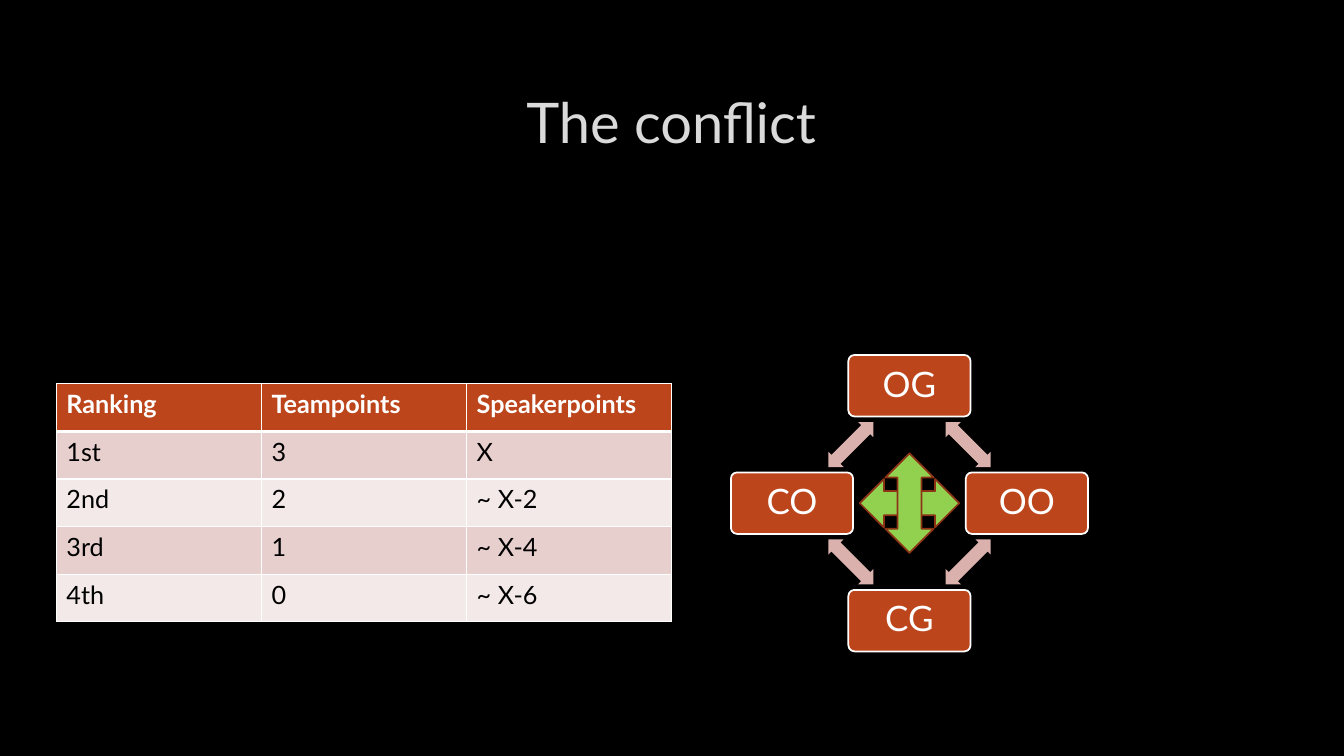
from dataclasses import dataclass
from math import cos, radians, sin

from lxml import etree
from pptx import Presentation
from pptx.dml import color
from pptx.enum import shapes, text
from pptx.oxml import ns
from pptx.util import Cm, Pt


@dataclass(frozen=True)
class Theme:
    """Colours, type sizes and font of the slide."""
    font: str = "Lato"
    background: str = "000000"
    title: str = "DADADA"
    title_outline: str = "404040"
    accent: str = "BC451B"
    accent_dark: str = "8B3314"
    light: str = "FFFFFF"
    dark: str = "000000"
    bands: tuple = ("E7CFCD", "F3E9E8")
    neighbour: str = "DAB1AC"
    clash: str = "92D050"
    title_size: float = 40
    table_size: float = 18
    team_size: float = 25


THEME = Theme()
SCORES = [
    ("Ranking", "Teampoints", "Speakerpoints"),
    ("1st", "3", "X"),
    ("2nd", "2", "~ X-2"),
    ("3rd", "1", "~ X-4"),
    ("4th", "0", "~ X-6"),
]
TEAMS = ("OG", "OO", "CG", "CO")
CENTRE_X, CENTRE_Y = 22.92, 12.68
TEAM_RADIUS, ARROW_RADIUS = 2.96, 2.09


def rgb(value):
    """Turn a hex string into a colour."""
    return color.RGBColor.from_string(value)


def paint(target, value):
    """Give a shape, cell or background a solid fill."""
    target.fill.solid()
    target.fill.fore_color.rgb = rgb(value)


def add_run(paragraph, words, size, value, bold=False):
    """Append a styled run to a paragraph."""
    run = paragraph.add_run()
    run.text = words
    run.font.name = THEME.font
    run.font.size = Pt(size)
    run.font.bold = bold
    run.font.color.rgb = rgb(value)
    return run


def line_element(tag, value, width, alpha=100):
    """Build a solid DrawingML line element."""
    line = etree.Element(ns.qn(tag), w=str(Pt(width)))
    solid = etree.SubElement(line, ns.qn("a:solidFill"))
    tint = etree.SubElement(solid, ns.qn("a:srgbClr"), val=value)
    etree.SubElement(tint, ns.qn("a:alpha"), val=str(alpha * 1000))
    return line


def add_title(slide, words):
    """Add the centred, faintly outlined title."""
    frame = slide.shapes.add_textbox(Cm(2.54), Cm(1.7), Cm(28.75), Cm(2.69)).text_frame
    frame.word_wrap = True
    frame.vertical_anchor = text.MSO_ANCHOR.MIDDLE
    paragraph = frame.paragraphs[0]
    paragraph.alignment = text.PP_ALIGN.CENTER
    run = add_run(paragraph, words, THEME.title_size, THEME.title)
    outline = line_element("a:ln", THEME.title_outline, 0.75, alpha=10)
    run.font._element.insert(0, outline)


def fill_cell(cell, words, row):
    """Write, fill and border one table cell."""
    header = row == 0
    paint(cell, THEME.accent if header else THEME.bands[(row - 1) % 2])
    add_run(cell.text_frame.paragraphs[0], words, THEME.table_size,
            THEME.light if header else THEME.dark, bold=header)
    widths = {"L": 1, "R": 1, "T": 3 if row == 1 else 1, "B": 3 if header else 1}
    properties = cell._tc.get_or_add_tcPr()
    for index, (side, width) in enumerate(widths.items()):
        properties.insert(index, line_element(f"a:ln{side}", THEME.light, width))


def add_scores(slide, rows):
    """Add the table of ranking, team points and speaker points."""
    column, height = 5.17, 1.2
    table = slide.shapes.add_table(
        len(rows), len(rows[0]), Cm(1.42), Cm(9.67),
        Cm(column * len(rows[0])), Cm(height * len(rows))).table
    for row, values in enumerate(rows):
        for col, words in enumerate(values):
            fill_cell(table.cell(row, col), words, row)


def add_around(slide, kind, radius, angle, width, height, fill, line=None):
    """Add a shape at a clockwise angle from the top of the diagram."""
    x = CENTRE_X + radius * sin(radians(angle))
    y = CENTRE_Y - radius * cos(radians(angle))
    shape = slide.shapes.add_shape(
        kind, Cm(x - width / 2), Cm(y - height / 2), Cm(width), Cm(height))
    shape.shadow.inherit = False
    paint(shape, fill)
    if line:
        shape.line.color.rgb = rgb(line)
        shape.line.width = Pt(1.25)
    else:
        shape.line.fill.background()
    return shape


def add_team(slide, name, angle):
    """Add a rounded box for one team."""
    team = add_around(slide, shapes.MSO_SHAPE.ROUNDED_RECTANGLE, TEAM_RADIUS, angle,
                      3.08, 1.55, THEME.accent, THEME.light)
    team.adjustments[0] = 0.1
    frame = team.text_frame
    frame.vertical_anchor = text.MSO_ANCHOR.MIDDLE
    paragraph = frame.paragraphs[0]
    paragraph.alignment = text.PP_ALIGN.CENTER
    paragraph.line_spacing = 0.9
    add_run(paragraph, name, THEME.team_size, THEME.light)


def add_neighbour_arrow(slide, angle):
    """Add the double arrow between two adjacent teams."""
    arrow = add_around(slide, shapes.MSO_SHAPE.LEFT_RIGHT_ARROW, ARROW_RADIUS, angle,
                       1.6, 0.54, THEME.neighbour)
    arrow.adjustments[0] = 0.6
    arrow.rotation = angle


def add_clash_arrow(slide, rotation):
    """Add a double arrow between two opposite teams."""
    arrow = add_around(slide, shapes.MSO_SHAPE.LEFT_RIGHT_ARROW, 0, 0,
                       2.51, 1.22, THEME.clash, THEME.accent_dark)
    arrow.rotation = rotation


def main():
    """Build and save the slide."""
    deck = Presentation()
    deck.slide_width, deck.slide_height = Cm(33.87), Cm(19.05)
    slide = deck.slides.add_slide(deck.slide_layouts[6])
    paint(slide.background, THEME.background)
    add_title(slide, "The conflict")
    step = 360 / len(TEAMS)
    for index, name in enumerate(TEAMS):
        add_team(slide, name, index * step)
        add_neighbour_arrow(slide, (index + 0.5) * step)
    add_scores(slide, SCORES)
    for rotation in (180, 90):
        add_clash_arrow(slide, rotation)
    deck.save("out.pptx")


if __name__ == "__main__":
    main()
